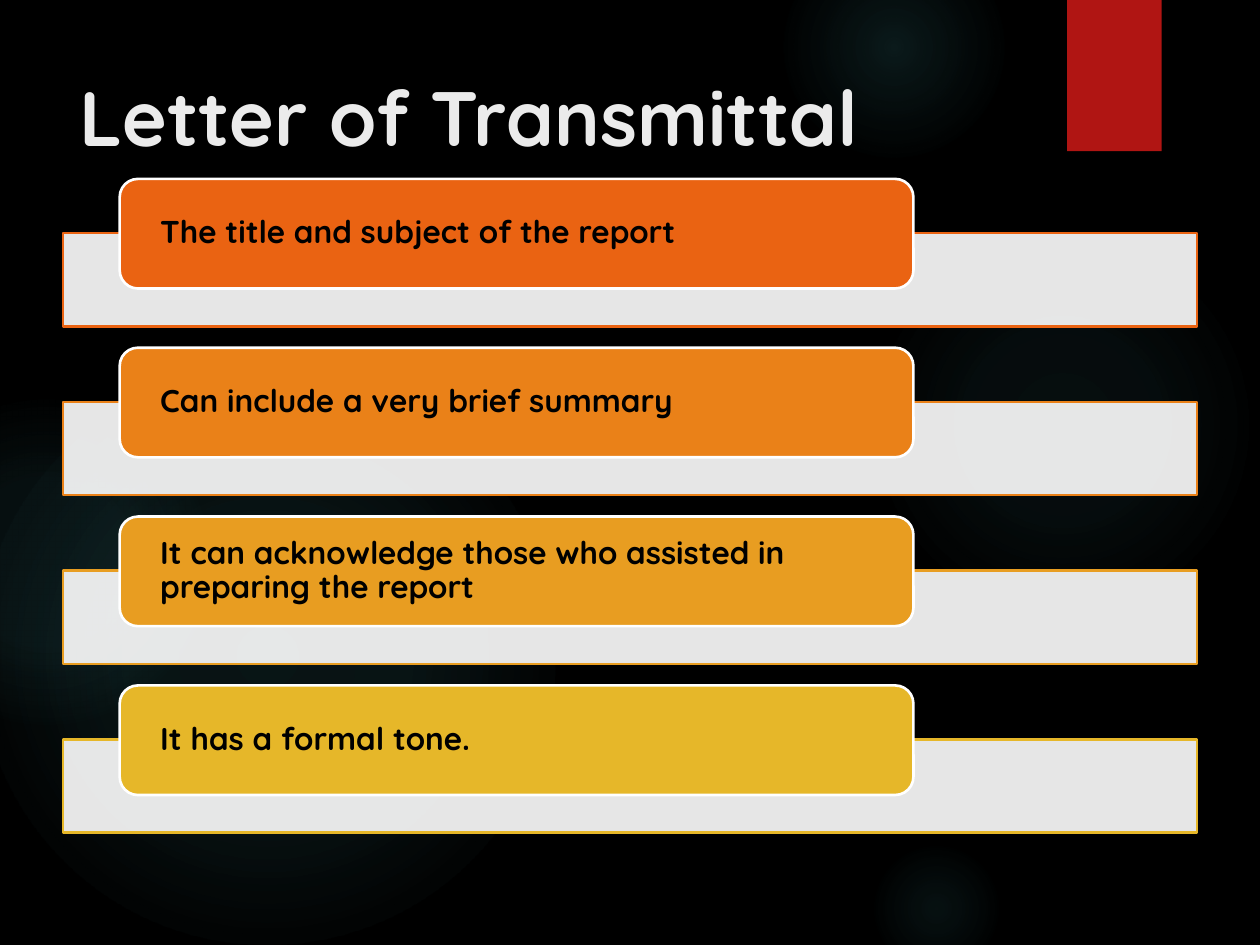
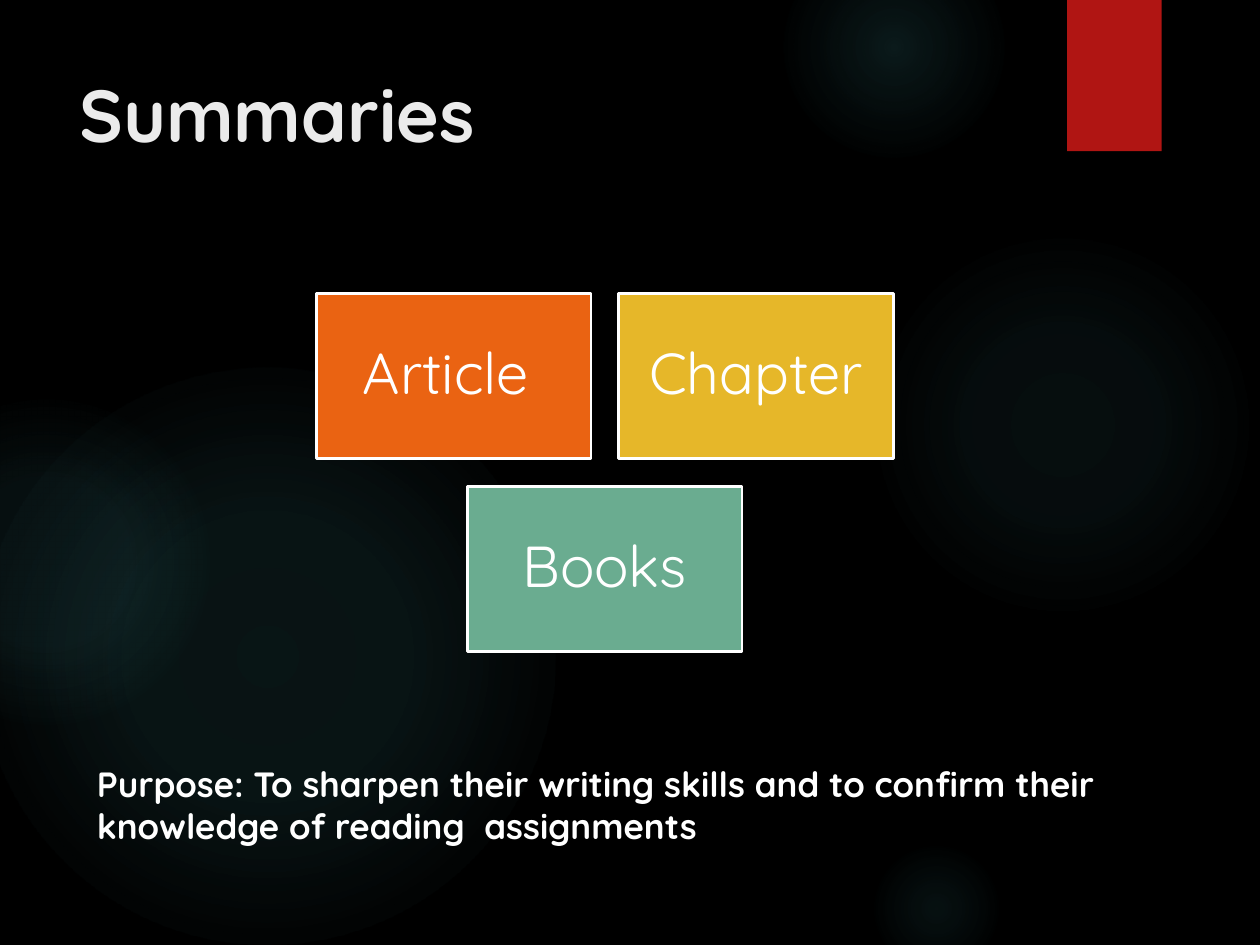
from dataclasses import dataclass

from pptx import Presentation
from pptx import util as u
from pptx.dml.color import RGBColor
from pptx.enum import shapes, text
from pptx.oxml import ns, parse_xml


@dataclass(frozen=True)
class Theme:
    font: str = "Quicksand"
    background: str = "000000"
    glow: str = "50B9C1"
    ribbon: str = "B01513"
    title: str = "EBEBEB"
    white: str = "FFFFFF"
    black: str = "000000"
    orange: str = "EA6312"
    amber: str = "EA8118"
    honey: str = "E89D21"
    yellow: str = "E6B729"
    green: str = "6AAC90"
    title_size: int = 44
    short_title_size: int = 42
    point_size: int = 18
    tile_size: int = 33
    purpose_size: int = 20
    outline: float = 1.5


THEME = Theme()
SHAPE = shapes.MSO_SHAPE
GLOWS = [
    (6.89, 1.83, 3.08, ((0, 7), (36, 6), (69, 0))),
    (6.22, -0.5, 1.75, ((0, 14), (36, 7), (73, 0))),
    (6.89, 6.67, 1.08, ((0, 9), (36, 5), (66, 0))),
    (-0.17, 2.92, 4.58, ((0, 11), (36, 10), (75, 0))),
    (-0.92, 3.17, 2.58, ((0, 8), (36, 8), (72, 0))),
]


def colour(value):
    return RGBColor.from_string(value)


def add_box(page, kind, left, top, width, height, fill=None, line=None):
    box = page.shapes.add_shape(kind, *map(u.Inches, (left, top, width, height)))
    box.shadow.inherit = False
    if fill:
        box.fill.solid()
        box.fill.fore_color.rgb = colour(fill)
    else:
        box.fill.background()
    if line:
        box.line.color.rgb = colour(line)
        box.line.width = u.Pt(THEME.outline)
    else:
        box.line.fill.background()
    return box


def write(box, words, size, ink, bold=False, align=text.PP_ALIGN.LEFT, spacing=None):
    frame = box.text_frame
    frame.word_wrap = True
    frame.text = words
    para = frame.paragraphs[0]
    para.alignment = align
    para.line_spacing = spacing
    font = para.runs[0].font
    font.name, font.size, font.bold = THEME.font, u.Pt(size), bold
    font.color.rgb = colour(ink)


def set_margins(box, side, end):
    frame = box.text_frame
    frame.margin_left = frame.margin_right = u.Inches(side)
    frame.margin_top = frame.margin_bottom = u.Inches(end)
    frame.vertical_anchor = text.MSO_ANCHOR.MIDDLE


def add_text(page, left, top, width, height, words, size, ink):
    box = page.shapes.add_textbox(*map(u.Inches, (left, top, width, height)))
    write(box, words, size, ink, bold=True)


def add_glow(page, left, top, size, stops):
    glow = add_box(page, SHAPE.OVAL, left, top, size, size)
    marks = "".join(
        f'<a:gs pos="{place * 1000}"><a:srgbClr val="{THEME.glow}">'
        f'<a:alpha val="{alpha * 1000}"/></a:srgbClr></a:gs>'
        for place, alpha in stops
    )
    gradient = parse_xml(
        f'<a:gradFill {ns.nsdecls("a")} rotWithShape="1"><a:gsLst>{marks}</a:gsLst>'
        '<a:path path="circle"><a:fillToRect l="50000" t="50000" r="50000" b="50000"/>'
        "</a:path></a:gradFill>"
    )
    properties = glow.element.spPr
    properties.replace(properties.find(ns.qn("a:noFill")), gradient)


def add_ribbon(page):
    ribbon = add_box(page, SHAPE.RECTANGLE, 8.47, 0, 0.75, 1.2, THEME.ribbon)
    ribbon.element.spPr.find(ns.qn("a:effectLst")).append(parse_xml(
        f'<a:outerShdw {ns.nsdecls("a")} blurRad="{u.Pt(3)}" dist="{u.Pt(2)}" '
        'dir="5400000" rotWithShape="0"><a:srgbClr val="000000">'
        '<a:alpha val="45000"/></a:srgbClr></a:outerShdw>'
    ))


def add_page(deck, title, title_size):
    page = deck.slides.add_slide(deck.slide_layouts[6])
    page.background.fill.solid()
    page.background.fill.fore_color.rgb = colour(THEME.background)
    for glow in GLOWS:
        add_glow(page, *glow)
    add_ribbon(page)
    add_text(page, 0.53, 0.5, 7.72, 1.53, title, title_size, THEME.title)
    return page


def add_point(page, top, words, accent):
    bar = add_box(page, SHAPE.RECTANGLE, 0.5, top + 0.43, 9, 0.74, THEME.white, accent)
    bar_colour = bar.element.spPr.find(ns.qn("a:solidFill"))[0]
    bar_colour.append(parse_xml(f'<a:alpha {ns.nsdecls("a")} val="90000"/>'))
    label = add_box(page, SHAPE.ROUNDED_RECTANGLE, 0.95, top, 6.3, 0.87, accent, THEME.white)
    set_margins(label, 0.28, 0.04)
    write(label, words, THEME.point_size, THEME.black, bold=True, spacing=0.9)


def add_tile(page, left, top, words, fill):
    tile = add_box(page, SHAPE.RECTANGLE, left, top, 2.18, 1.31, fill, THEME.white)
    set_margins(tile, 0.14, 0.14)
    write(tile, words, THEME.tile_size, THEME.white,
          align=text.PP_ALIGN.CENTER, spacing=0.9)


def build_letter(deck):
    page = add_page(deck, "Letter of Transmittal", THEME.title_size)
    points = [
        ("The title and subject of the report ", THEME.orange),
        ("Can include a very brief summary ", THEME.amber),
        ("It can acknowledge those who assisted in preparing the report ", THEME.honey),
        ("It has a formal tone. ", THEME.yellow),
    ]
    for row, (words, accent) in enumerate(points):
        add_point(page, 1.42 + 1.34 * row, words, accent)


def build_summaries(deck):
    page = add_page(deck, "Summaries", THEME.short_title_size)
    left, top, half_step, row_step = 2.51, 2.33, 1.2, 1.53
    add_tile(page, left, top, "Article ", THEME.orange)
    add_tile(page, left + 2 * half_step, top, "Chapter", THEME.yellow)
    add_tile(page, left + half_step, top + row_step, "Books", THEME.green)
    add_text(page, 0.67, 6, 8.42, 1.08,
             "Purpose: To sharpen their writing skills and to confirm their "
             "knowledge of reading  assignments", THEME.purpose_size, THEME.white)


def main():
    deck = Presentation()
    deck.slide_width, deck.slide_height = u.Inches(10), u.Inches(7.5)
    build_letter(deck)
    build_summaries(deck)
    deck.save("out.pptx")


main()
